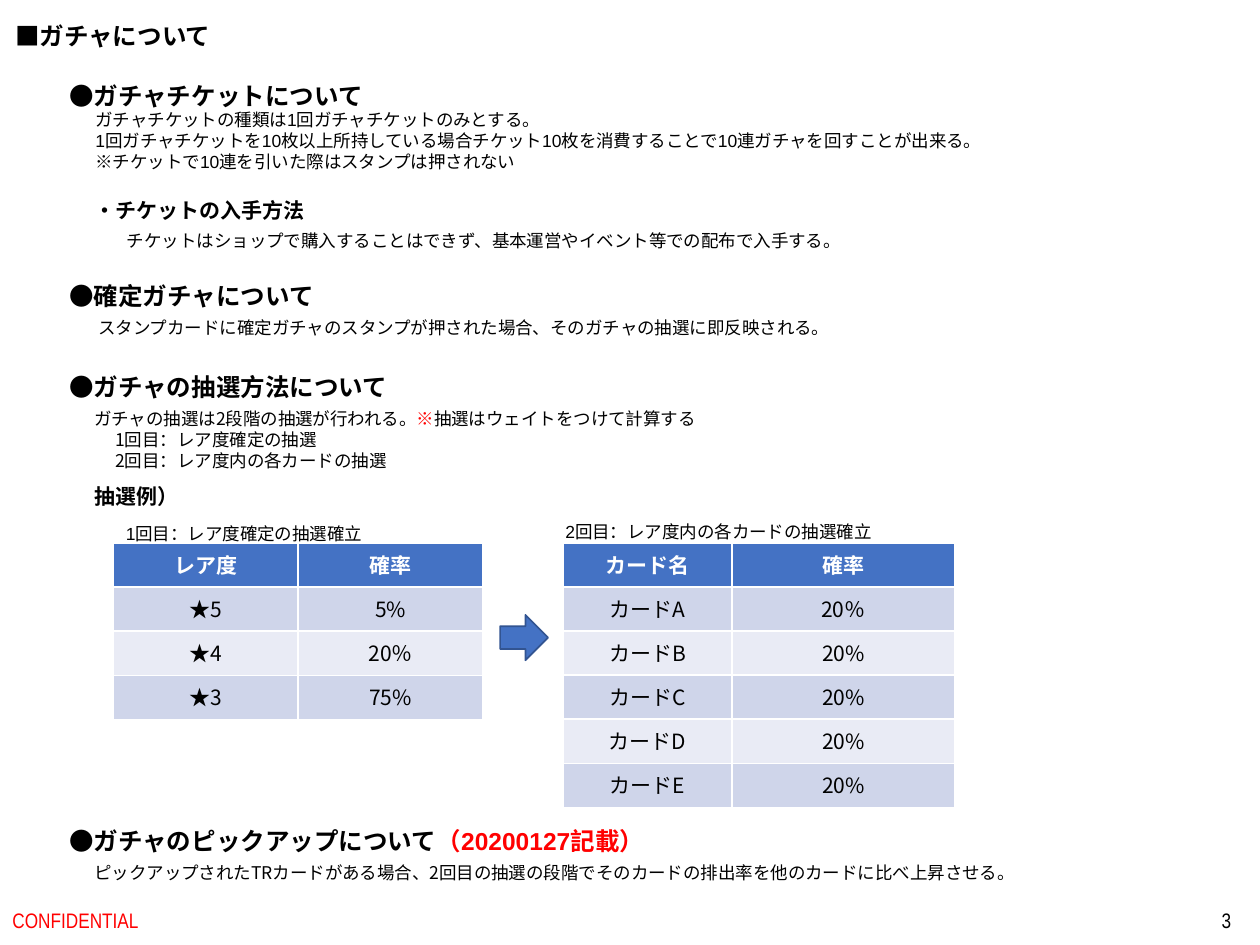
import pptx
import pptx.dml.color
import pptx.enum.shapes
import pptx.enum.text
import pptx.oxml
import pptx.oxml.ns
import pptx.util

Pt = pptx.util.Pt
ALIGN = pptx.enum.text.PP_ALIGN
ANCHOR = pptx.enum.text.MSO_ANCHOR
BLACK, WHITE, RED, BLUE = "000000", "FFFFFF", "FF0000", "4472C4"
JAPANESE = "Noto Sans CJK JP"


def rgb(value):
    return pptx.dml.color.RGBColor.from_string(value)


def write_text(frame, text, size=10, font="Arial", color=BLACK, bold=False,
               align=ALIGN.LEFT, anchor=ANCHOR.TOP, leading=1.2, indent=0):
    """Write lines of text; a line may be a list of (text, colour) runs.

    Lines after the first are indented by `indent` points.
    """
    frame.word_wrap = True
    frame.vertical_anchor = anchor
    lines = [text] if isinstance(text, str) else text
    for index, line in enumerate(lines):
        paragraph = frame.paragraphs[0] if index == 0 else frame.add_paragraph()
        paragraph.alignment = align
        if leading:
            paragraph.line_spacing = Pt(size * leading)
        if index and indent:
            paragraph._p.get_or_add_pPr().set("marL", str(Pt(indent)))
        for words, run_color in [(line, color)] if isinstance(line, str) else line:
            run = paragraph.add_run()
            run.text = words
            run.font.size = Pt(size)
            run.font.name = font
            run.font.bold = bold
            run.font.color.rgb = rgb(run_color)
            east_asian = pptx.oxml.parse_xml(
                f'<a:ea {pptx.oxml.ns.nsdecls("a")} typeface="{JAPANESE}"/>')
            run.font._element.find(pptx.oxml.ns.qn("a:latin")).addnext(east_asian)


presentation = pptx.Presentation()
presentation.slide_width = Pt(720)
presentation.slide_height = Pt(540)
slide = presentation.slides.add_slide(presentation.slide_layouts[5])

title = slide.shapes.title
title.left, title.top, title.width, title.height = Pt(1.4), Pt(8.6), Pt(128), Pt(24.5)
title.text_frame.auto_size = pptx.enum.text.MSO_AUTO_SIZE.NONE
write_text(title.text_frame, "■ガチャについて", size=14, bold=True)

heading = {"size": 14, "bold": True}
subheading = {"size": 12, "bold": True}
body = {"size": 10}
steps = {"size": 10, "font": JAPANESE, "indent": 12}
footer = {"size": 12, "font": "Arial Narrow", "anchor": ANCHOR.MIDDLE, "leading": None}

# left, top, width, height, text, format
text_boxes = [
    (32.4, 42.5, 185, 24.5, "●ガチャチケットについて", heading),
    (47.5, 59, 534, 44, [
        "ガチャチケットの種類は1回ガチャチケットのみとする。",
        "1回ガチャチケットを10枚以上所持している場合チケット10枚を消費することで10連ガチャを回すことが出来る。",
        "※チケットで10連を引いた際はスタンプは押されない"], body),
    (46.8, 109.4, 136, 21.6, "・チケットの入手方法", subheading),
    (65.5, 128.2, 429, 19.4,
     "チケットはショップで購入することはできず、基本運営やイベント等での配布で入手する。", body),
    (32.4, 157, 157, 24.5, "●確定ガチャについて", heading),
    (49, 177.8, 439, 31.7,
     "スタンプカードに確定ガチャのスタンプが押された場合、そのガチャの抽選に即反映される。", body),
    (32.4, 208.8, 199, 24.5, "●ガチャの抽選方法について", heading),
    (46.8, 229.7, 618.5, 44, [
        [("ガチャの抽選は2段階の抽選が行われる。", BLACK), ("※", RED),
         ("抽選はウェイトをつけて計算する", BLACK)],
        "1回目：レア度確定の抽選",
        "2回目：レア度内の各カードの抽選"], steps),
    (46.8, 272.9, 64, 21.6, "抽選例）", subheading),
    (64.8, 295.2, 153, 19.4, "1回目：レア度確定の抽選確立", body),
    (316, 294.5, 193, 19.4, "2回目：レア度内の各カードの抽選確立", body),
    (32.4, 468.7, 374, 24.5,
     [[("●ガチャのピックアップについて", BLACK), ("（20200127記載）", RED)]], heading),
    (46.8, 488.9, 618.5, 31.7,
     "ピックアップされたTRカードがある場合、2回目の抽選の段階でそのカードの排出率を他のカードに比べ上昇させる。",
     steps),
    (0, 511.2, 243.4, 28.8, "CONFIDENTIAL", {**footer, "color": RED}),
    (548.6, 511.2, 162, 28.8, "3", {**footer, "align": ALIGN.RIGHT}),
]
for left, top, width, height, text, text_format in text_boxes:
    text_box = slide.shapes.add_textbox(Pt(left), Pt(top), Pt(width), Pt(height))
    write_text(text_box.text_frame, text, **text_format)

# left, column widths, rows
row_height = 25.2
tables = [
    (64.8, (105.6, 105.6),
     [("レア度", "確率"), ("★5", "5%"), ("★4", "20％"), ("★3", "75%")]),
    (321.8, (96.5, 127.4),
     [("カード名", "確率"), ("カードA", "20％"), ("カードB", "20%"),
      ("カードC", "20%"), ("カードD", "20%"), ("カードE", "20%")]),
]
for left, column_widths, rows in tables:
    table = slide.shapes.add_table(
        len(rows), len(column_widths), Pt(left), Pt(310.3),
        Pt(sum(column_widths)), Pt(row_height * len(rows))).table
    for column, width in zip(table.columns, column_widths):
        column.width = Pt(width)
    for row_index, row in enumerate(rows):
        is_header = row_index == 0
        band = "CFD5EA" if row_index % 2 else "E9EBF5"
        for column_index, text in enumerate(row):
            cell = table.cell(row_index, column_index)
            cell.fill.solid()
            cell.fill.fore_color.rgb = rgb(BLUE if is_header else band)
            write_text(cell.text_frame, text, size=12, font=JAPANESE, bold=is_header,
                       color=WHITE if is_header else BLACK, align=ALIGN.CENTER,
                       leading=None)

arrow = slide.shapes.add_shape(pptx.enum.shapes.MSO_SHAPE.RIGHT_ARROW,
                               Pt(285.8), Pt(351.4), Pt(27.4), Pt(25.9))
arrow.shadow.inherit = False
arrow.fill.solid()
arrow.fill.fore_color.rgb = rgb(BLUE)
arrow.line.color.rgb = rgb("325491")
arrow.line.width = Pt(1)

presentation.save("out.pptx")
